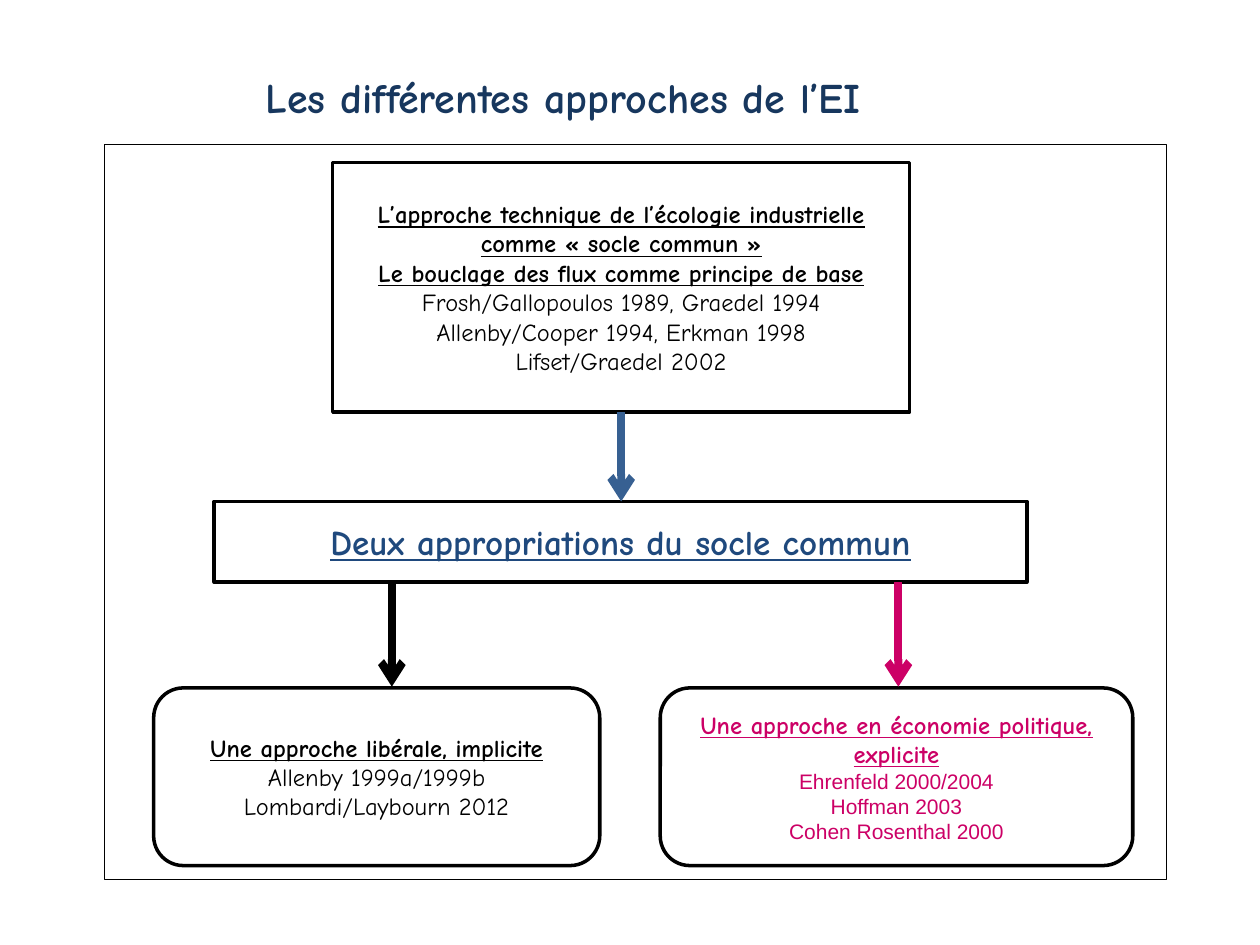
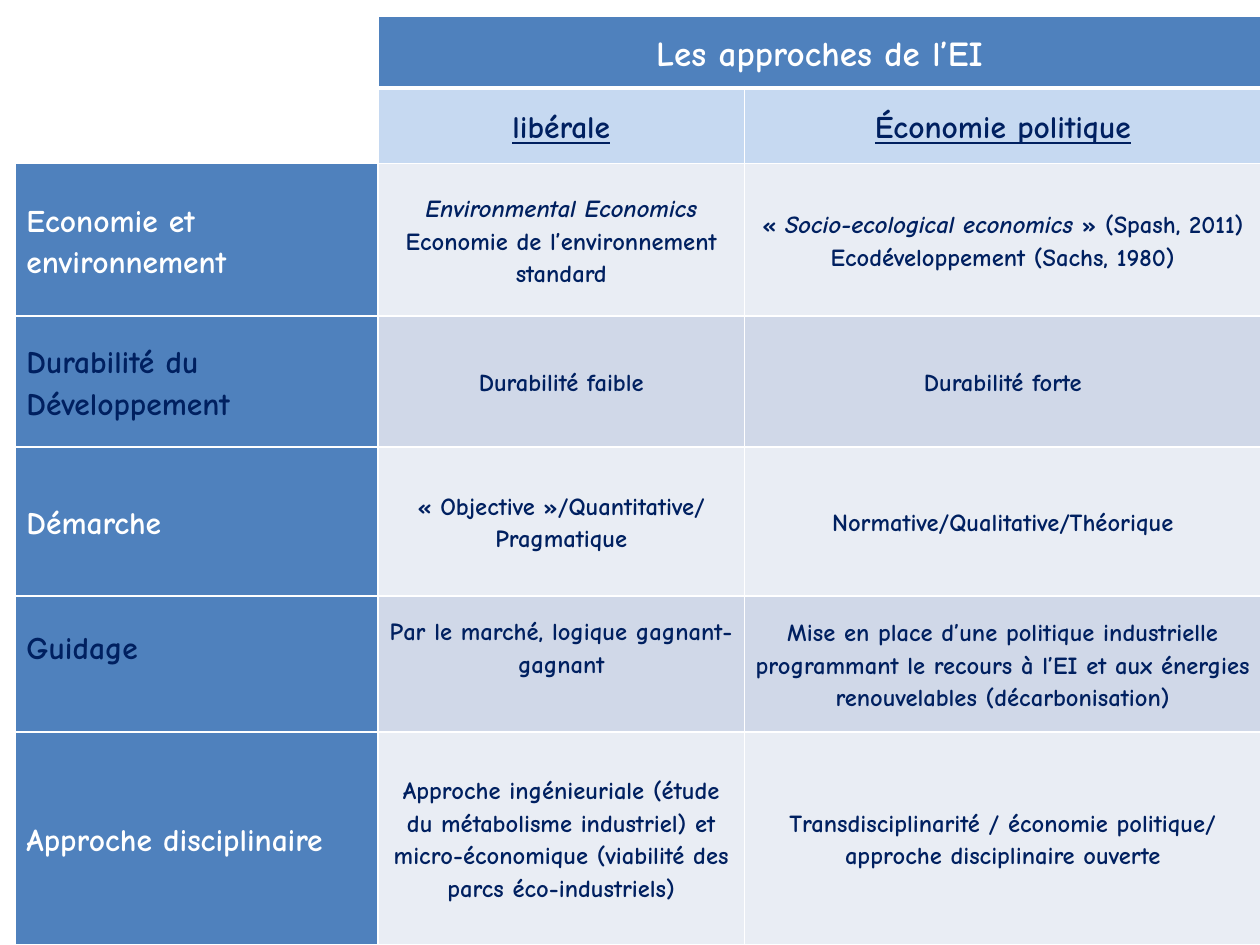
from lxml import etree
from pptx import Presentation
from pptx.dml.color import RGBColor
from pptx.enum import shapes, text
from pptx.oxml import ns
from pptx.util import Inches, Pt

COLORS = {
    "black": "000000", "white": "FFFFFF", "title": "17375E", "heading": "1F497D",
    "arrow": "376092", "pink": "CC0066", "navy": "002060", "blue": "4F81BD",
    "sky": "C6D9F1", "light": "E9EDF4", "dark": "D0D8E8",
}
FONT = "Comic Neue"
PLAIN = {"bold": False, "underline": False}
PINK_PLAIN = {**PLAIN, "font": "Arial", "size": 12}
ITALIC = {"italic": True}

# Slide 1: a paragraph is a string or a list of (text, format) runs
TITLE = "Les différentes approches de l’EI"
FRAME = (0.83, 1.15, 8.43, 5.83)
BOXES = [
    {"at": (2.64, 1.29, 4.58, 1.98), "kind": "RECTANGLE", "size": 14, "color": "black",
     "text": ["L’approche technique de l’écologie industrielle",
              "comme « socle commun »",
              "Le bouclage des flux comme principe de base",
              [("Frosh/Gallopoulos 1989, Graedel 1994", PLAIN)],
              [("Allenby/Cooper 1994, Erkman 1998", PLAIN)],
              [("Lifset/Graedel 2002", PLAIN)]]},
    {"at": (1.7, 3.98, 6.45, 0.64), "kind": "RECTANGLE", "size": 20, "color": "heading",
     "text": ["Deux appropriations du socle commun"]},
    {"at": (5.24, 5.46, 3.75, 1.41), "kind": "ROUNDED_RECTANGLE", "size": 14, "color": "pink",
     "text": ["Une approche en économie politique, explicite",
              [("Ehrenfeld 2000/2004", PINK_PLAIN)],
              [("Hoffman 2003", PINK_PLAIN)],
              [("Cohen Rosenthal 2000", PINK_PLAIN)]]},
    {"at": (1.22, 5.46, 3.54, 1.41), "kind": "ROUNDED_RECTANGLE", "size": 14, "color": "black",
     "text": ["Une approche libérale, implicite",
              [("Allenby 1999a/1999b", PLAIN)],
              [("Lombardi/Laybourn 2012", PLAIN)]]},
]
ARROWS = [  # x, top, bottom, colour
    (4.93, 3.27, 3.98, "arrow"),
    (7.13, 4.62, 5.45, "pink"),
    (3.11, 4.62, 5.45, "black"),
]

# Slide 2: each row is label, liberal approach, political economy
TABLE_AT = (0.12, 0.13)
COLUMN_WIDTHS = [2.88, 2.91, 4.1]
ROW_HEIGHTS = [0.57, 0.6, 1.21, 1.04, 1.18, 1.08, 1.69]
TABLE_TITLE = "Les approches de l’EI"
APPROACHES = ["libérale", "Économie politique"]
COMPARISON = [
    ("Economie et environnement",
     [[("Environmental Economics", ITALIC)], "Economie de l’environnement standard"],
     [[("« ", {}), ("Socio-ecological economics", ITALIC), (" » (Spash, 2011)", {})],
      "Ecodéveloppement (Sachs, 1980)"]),
    ("Durabilité du Développement", ["Durabilité faible"], ["Durabilité forte"]),
    ("Démarche", ["« Objective »/Quantitative/", "Pragmatique"],
     ["Normative/Qualitative/Théorique"]),
    ("Guidage", ["Par le marché, logique gagnant-gagnant"],
     ["Mise en place d’une politique industrielle programmant le recours à l’EI "
      "et aux énergies renouvelables (décarbonisation)"]),
    ("Approche disciplinaire",
     ["Approche ingénieuriale (étude du métabolisme industriel) et micro-économique "
      "(viabilité des parcs éco-industriels)"],
     ["Transdisciplinarité / économie politique/ approche disciplinaire ouverte"]),
]
RAISED = {"Guidage": 0.27}  # extra bottom margin that lifts short texts


def rgb(name):
    return RGBColor.from_string(COLORS[name])


def inches(values):
    return [Inches(value) for value in values]


def write_text(frame, paragraphs, align="CENTER", spacing=None, **base):
    for index, content in enumerate(paragraphs):
        paragraph = frame.paragraphs[0] if index == 0 else frame.add_paragraph()
        paragraph.alignment = text.PP_ALIGN[align]
        if spacing:
            paragraph.line_spacing = spacing
        runs = [(content, {})] if isinstance(content, str) else content
        for words, changes in runs:
            style = {"font": FONT, "bold": True, "underline": False, "italic": False,
                     **base, **changes}
            run = paragraph.add_run()
            run.text = words
            run.font.name = style["font"]
            run.font.size = Pt(style["size"])
            run.font.bold = style["bold"]
            run.font.italic = style["italic"]
            run.font.underline = style["underline"]
            run.font.color.rgb = rgb(style["color"])


def add_box(slide, at, kind="RECTANGLE", fill=None, width=2):
    shape = slide.shapes.add_shape(shapes.MSO_SHAPE[kind], *inches(at))
    shape.shadow.inherit = False
    if fill:
        shape.fill.solid()
        shape.fill.fore_color.rgb = rgb(fill)
    else:
        shape.fill.background()
    shape.line.color.rgb = rgb("black")
    shape.line.width = Pt(width)
    return shape


def add_arrow(slide, x, top, bottom, color):
    arrow = slide.shapes.add_connector(
        shapes.MSO_CONNECTOR.STRAIGHT, *inches((x, top, x, bottom)))
    arrow.line.color.rgb = rgb(color)
    arrow.line.width = Pt(4.5)
    etree.SubElement(arrow.line._get_or_add_ln(), ns.qn("a:tailEnd"), type="arrow")
    etree.SubElement(arrow._element.spPr, ns.qn("a:effectLst"))


def format_cell(cell, fill=None, bottom_line=1, left=0.07, bottom=0):
    properties = cell._tc.get_or_add_tcPr()
    for side in "LRTB":
        width = bottom_line if side == "B" else 1
        line = etree.SubElement(properties, ns.qn(f"a:ln{side}"), w=str(Pt(width)))
        solid = etree.SubElement(line, ns.qn("a:solidFill"))
        etree.SubElement(solid, ns.qn("a:srgbClr"), val=COLORS["white"])
    if fill:
        cell.fill.solid()
        cell.fill.fore_color.rgb = rgb(fill)
    else:
        cell.fill.background()
    cell.vertical_anchor = text.MSO_ANCHOR.MIDDLE
    cell.margin_left, cell.margin_right = Inches(left), Inches(0.07)
    cell.margin_top, cell.margin_bottom = 0, Inches(bottom)


def build_diagram(slide):
    add_box(slide, FRAME, width=0.75)
    for box in BOXES:
        shape = add_box(slide, box["at"], box["kind"], fill="white")
        shape.text_frame.word_wrap = True
        shape.text_frame.vertical_anchor = text.MSO_ANCHOR.MIDDLE
        write_text(shape.text_frame, box["text"], size=box["size"], color=box["color"],
                   underline=True)
    for arrow in ARROWS:
        add_arrow(slide, *arrow)
    title = slide.shapes.add_textbox(*inches((2.01, 0.52, 5.73, 0.5)))
    title.text_frame.word_wrap = False
    write_text(title.text_frame, [TITLE], align="LEFT", size=24, color="title")


def build_comparison(slide):
    size = (sum(COLUMN_WIDTHS), sum(ROW_HEIGHTS))
    table = slide.shapes.add_table(
        len(ROW_HEIGHTS), len(COLUMN_WIDTHS), *inches(TABLE_AT + size)).table
    table.first_row = table.horz_banding = False
    for column, width in zip(table.columns, COLUMN_WIDTHS):
        column.width = Inches(width)
    for row, height in zip(table.rows, ROW_HEIGHTS):
        row.height = Inches(height)

    # Header rows
    table.cell(0, 0).merge(table.cell(1, 0))
    table.cell(0, 1).merge(table.cell(0, 2))
    for row in (0, 1):
        format_cell(table.cell(row, 0))
    for column, approach in enumerate(APPROACHES, 1):
        format_cell(table.cell(0, column), "blue", bottom_line=3)
        format_cell(table.cell(1, column), "sky")
        write_text(table.cell(1, column).text_frame, [approach], spacing=1.15,
                   size=18, color="navy", underline=True)
    write_text(table.cell(0, 1).text_frame, [TABLE_TITLE], spacing=1.15,
               size=20, color="white")

    # Body rows, with alternating shades
    for index, (label, *answers) in enumerate(COMPARISON):
        odd = index % 2
        row = index + 2
        lift = RAISED.get(label, 0)
        format_cell(table.cell(row, 0), "blue", left=0.09, bottom=lift)
        write_text(table.cell(row, 0).text_frame, [label], align="LEFT", spacing=1.15,
                   size=18, color="navy" if odd else "white")
        for column, answer in enumerate(answers, 1):
            cell = table.cell(row, column)
            format_cell(cell, "dark" if odd else "light",
                        bottom=lift if column == 1 else 0)
            write_text(cell.text_frame, answer, spacing=1.15, size=14, color="navy")


def main():
    presentation = Presentation()
    presentation.slide_width, presentation.slide_height = Inches(10), Inches(7.5)
    for build in (build_diagram, build_comparison):
        build(presentation.slides.add_slide(presentation.slide_layouts[6]))
    presentation.save("out.pptx")


if __name__ == "__main__":
    main()
